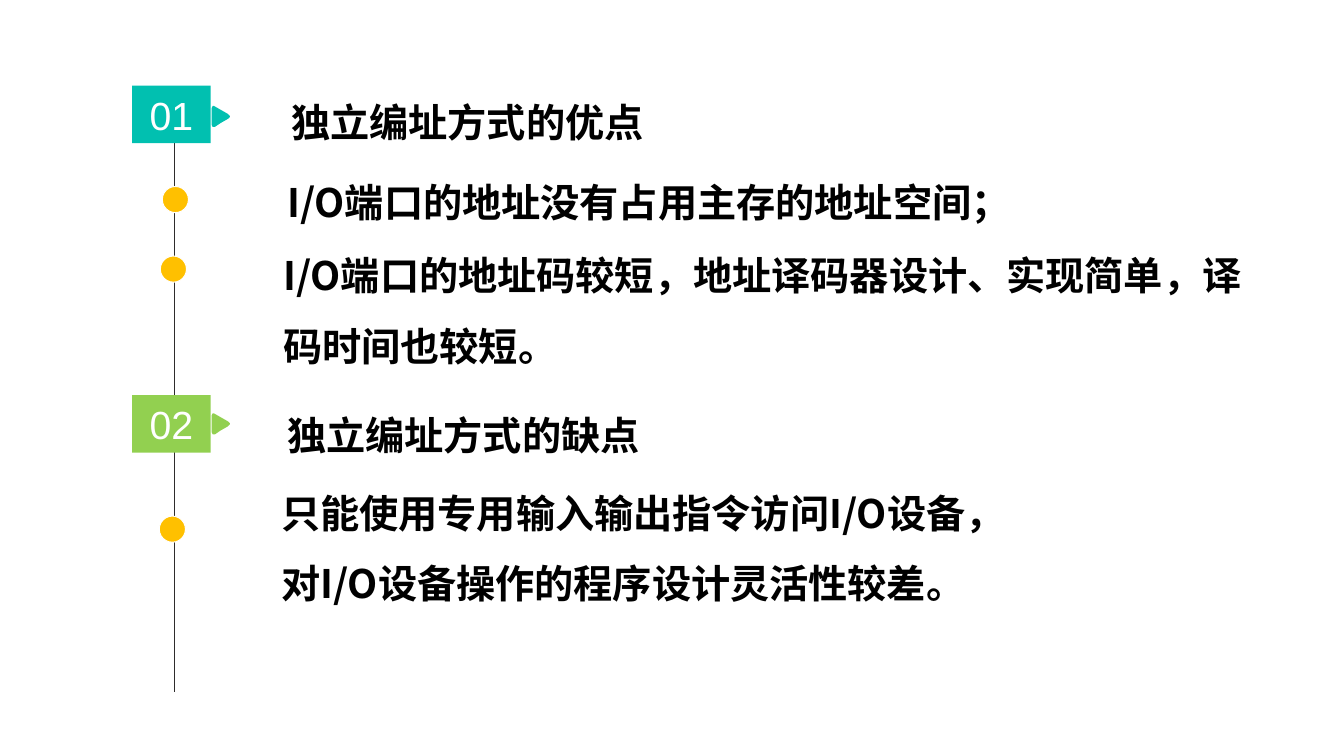
"""Build a timeline slide on the pros and cons of separate I/O addressing."""
from lxml.etree import SubElement
from pptx import Presentation
from pptx.dml.color import RGBColor
from pptx.enum.shapes import MSO_CONNECTOR, MSO_SHAPE
from pptx.enum.text import MSO_ANCHOR, PP_ALIGN
from pptx.oxml.ns import qn
from pptx.util import Inches, Pt

TEAL = RGBColor(0x01, 0xC0, 0xB0)
GREEN = RGBColor(0x92, 0xD0, 0x50)
AMBER = RGBColor(0xFF, 0xC0, 0x00)
DARK = RGBColor(0x2E, 0x2C, 0x2C)
WHITE = RGBColor(0xFF, 0xFF, 0xFF)
BLACK = RGBColor(0, 0, 0)

deck = Presentation()
deck.slide_width, deck.slide_height = Inches(13.33), Inches(7.5)
slide = deck.slides.add_slide(deck.slide_layouts[6])
shapes = slide.shapes

axis = shapes.add_connector(
    MSO_CONNECTOR.STRAIGHT, Inches(1.73), Inches(1.12), Inches(1.73), Inches(6.87))
axis.line.color.rgb = DARK
axis.line.width = Pt(1)
SubElement(axis._element.spPr, qn("a:effectLst"))

tip = [(0, 0.03), (0.01, 0.01), (0.02, 0.01), (0.09, 0.05), (0.16, 0.09),
       (0.18, 0.11), (0.18, 0.12), (0.16, 0.14), (0.09, 0.18), (0.03, 0.22),
       (0.01, 0.22), (0, 0.2)]
for label, color, top, point in [("01", TEAL, 0.85, 1.04), ("02", GREEN, 3.92, 4.09)]:
    pen = shapes.build_freeform(
        Inches(2.1 + tip[0][0]), Inches(point + tip[0][1]), scale=1.0)
    pen.add_line_segments([(Inches(2.1 + x), Inches(point + y)) for x, y in tip[1:]])
    arrow = pen.convert_to_shape()
    badge = shapes.add_shape(
        MSO_SHAPE.RECTANGLE, Inches(1.31), Inches(top), Inches(0.78), Inches(0.57))
    for part in (arrow, badge):
        part.shadow.inherit = False
        part.fill.solid()
        part.fill.fore_color.rgb = color
        part.line.fill.background()
    frame = badge.text_frame
    frame.text = label
    frame.vertical_anchor = MSO_ANCHOR.MIDDLE
    para = frame.paragraphs[0]
    para.alignment = PP_ALIGN.CENTER
    para.font.size = Pt(28)
    para.font.name = "Arial"
    para.font.color.rgb = WHITE

for left, top in [(1.61, 1.85), (1.59, 2.54), (1.58, 5.12)]:
    dot = shapes.add_shape(
        MSO_SHAPE.OVAL, Inches(left), Inches(top), Inches(0.26), Inches(0.26))
    dot.shadow.inherit = False
    dot.fill.solid()
    dot.fill.fore_color.rgb = AMBER
    dot.line.color.rgb = WHITE
    dot.line.width = Pt(0)

texts = [
    (2.79, 0.69, 3.74, 0.81, False, "独立编址方式的优点"),
    (2.75, 1.49, 9.67, 0.85, True, "I/O端口的地址没有占用主存的地址空间；"),
    (2.71, 2.21, 9.91, 1.51, True,
     "I/O端口的地址码较短，地址译码器设计、实现简单，译\n码时间也较短。"),
    (2.75, 3.8, 3.74, 0.81, False, "独立编址方式的缺点"),
    (2.69, 4.57, 7.6, 1.51, True,
     "只能使用专用输入输出指令访问I/O设备，对I/O设备操作的程序设计灵活性较差。"),
]
for left, top, width, height, wrap, words in texts:
    box = shapes.add_textbox(Inches(left), Inches(top), Inches(width), Inches(height))
    frame = box.text_frame
    frame.word_wrap = wrap
    frame.text = words
    for para in frame.paragraphs:
        para.line_spacing = 1.5
        for run in para.runs:
            run.font.size = Pt(28)
            run.font.bold = True
            run.font.color.rgb = BLACK
            run.font.name = "Noto Sans CJK SC"
            SubElement(run.font._element, qn("a:ea"), typeface="Noto Sans CJK SC")

deck.save("out.pptx")
